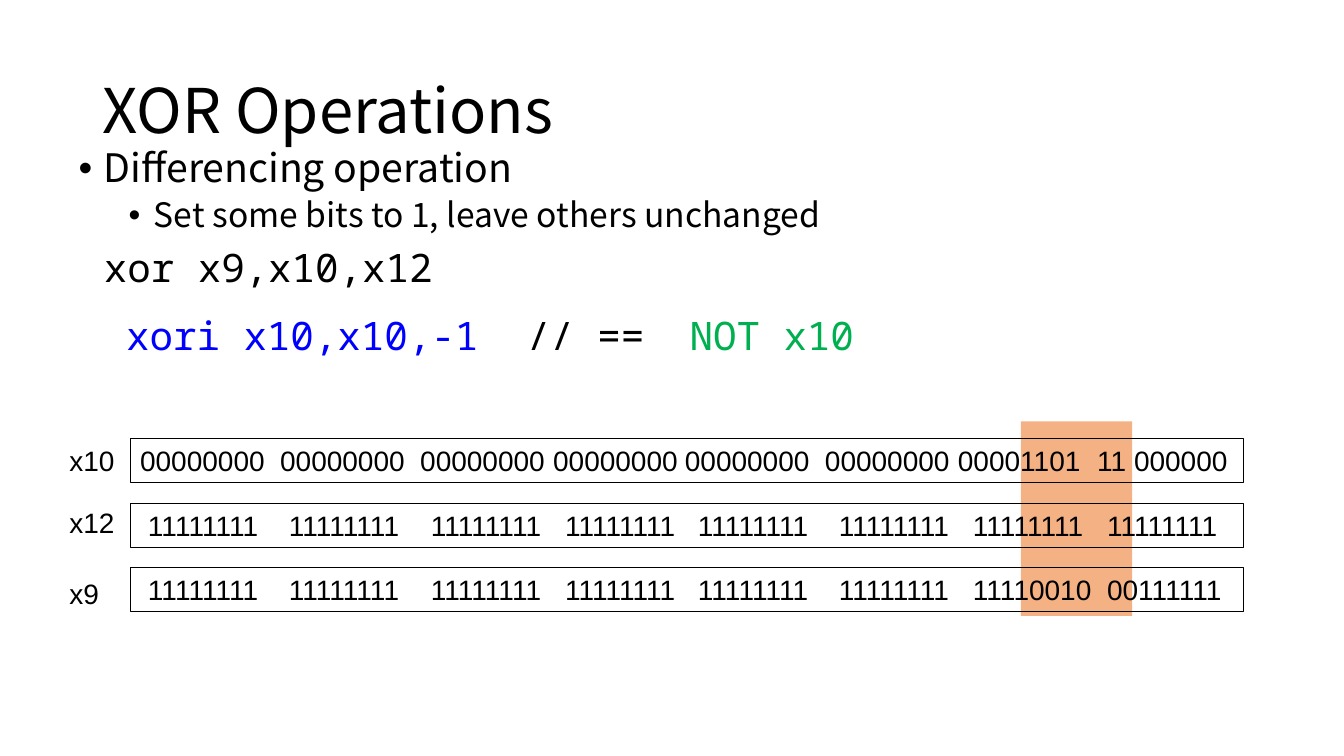
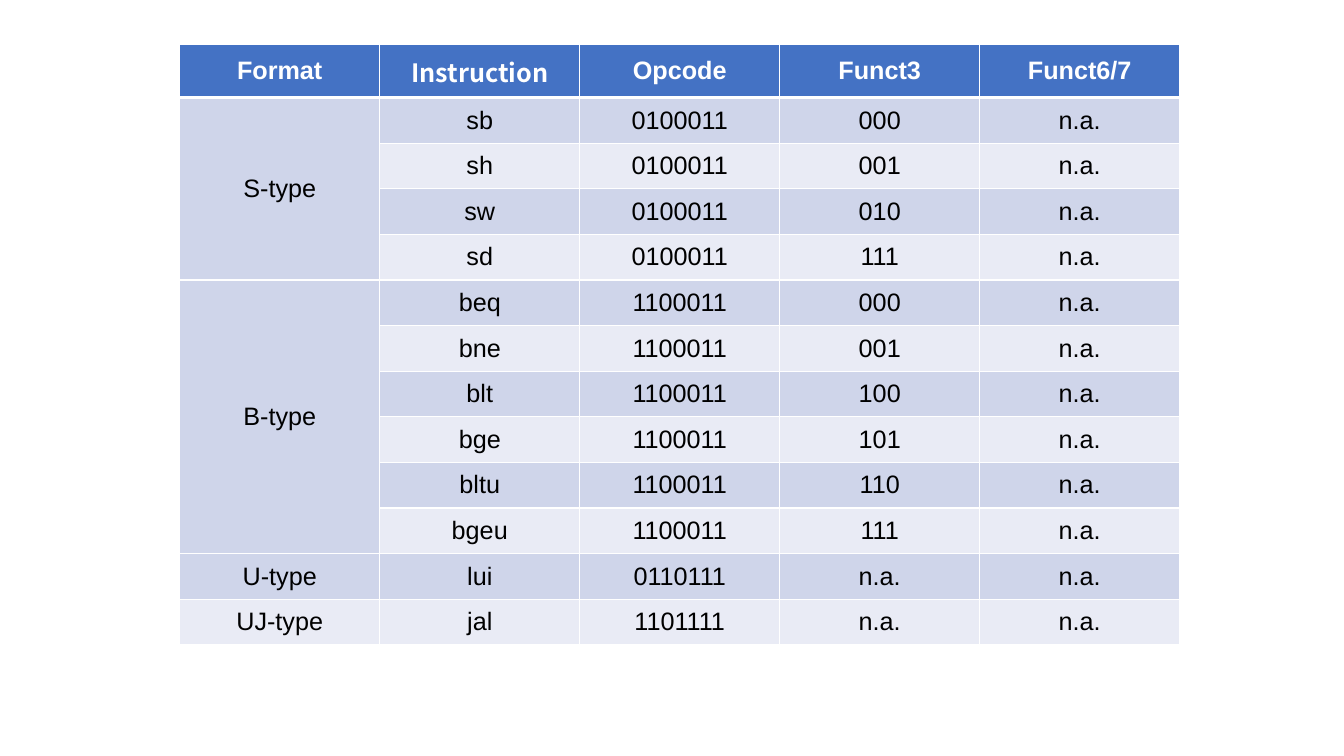
from lxml.etree import SubElement
from pptx import Presentation
from pptx.dml.color import RGBColor
from pptx.enum.shapes import MSO_SHAPE
from pptx.enum.text import MSO_ANCHOR, MSO_AUTO_SIZE, PP_ALIGN
from pptx.oxml.ns import qn
from pptx.util import Cm, Pt

BLACK = RGBColor(0x00, 0x00, 0x00)
WHITE = RGBColor(0xFF, 0xFF, 0xFF)
BLUE = RGBColor(0x00, 0x00, 0xFF)
GREEN = RGBColor(0x00, 0xB0, 0x50)
ORANGE = RGBColor(0xF4, 0xB1, 0x83)
HEADER = RGBColor(0x44, 0x72, 0xC4)
BANDS = [RGBColor(0xCF, 0xD5, 0xEA), RGBColor(0xE9, 0xEB, 0xF5)]
SANS = "Noto Sans CJK SC"
MONO = "Noto Sans Mono"
ARIAL = "Arial"


def add_run(p, text, size, font, color=BLACK, bold=False):
    r = p.add_run()
    r.text = text
    r.font.size = Pt(size)
    r.font.name = font
    r.font.color.rgb = color
    r.font.bold = bold


def set_tabs(p, stops):
    tab_list = SubElement(p._p.get_or_add_pPr(), qn("a:tabLst"))
    for stop in stops:
        SubElement(tab_list, qn("a:tab"), pos=str(Cm(stop)), algn="l")


prs = Presentation()
prs.slide_width, prs.slide_height = Cm(33.87), Cm(19.05)

s = prs.slides.add_slide(prs.slide_layouts[5])
title = s.shapes.title
title.left, title.top, title.width, title.height = Cm(2.33), Cm(1.01), Cm(29.21), Cm(3.68)
tf = title.text_frame
tf.auto_size = MSO_AUTO_SIZE.NONE
tf.vertical_anchor = MSO_ANCHOR.MIDDLE
p = tf.paragraphs[0]
p.alignment = PP_ALIGN.LEFT
p.line_spacing = 0.9
add_run(p, "XOR Operations", 44, SANS)

tf = s.shapes.add_textbox(Cm(1.73), Cm(3.63), Cm(30.48), Cm(6.3)).text_frame
tf.word_wrap = True
bullets = [("Differencing operation", 28, 0.64, 0),
           ("Set some bits to 1, leave others unchanged", 24, 1.9, 5)]
for i, (text, size, indent, before) in enumerate(bullets):
    p = tf.add_paragraph() if i else tf.paragraphs[0]
    pPr = p._p.get_or_add_pPr()
    pPr.set("marL", str(Cm(indent)))
    pPr.set("indent", str(Cm(-0.64)))
    p.line_spacing = 0.9
    if before:
        p.space_before = Pt(before)
    SubElement(pPr, qn("a:buFont"), typeface=ARIAL)
    SubElement(pPr, qn("a:buChar"), char="•")
    add_run(p, text, size, SANS)

code_lines = [([0.64], [("\txor x9,x10,x12", BLACK)]),
              ([1.2, 11.3, 15.4], [("\txori x10,x10,-1", BLUE), ("\t// ==", BLACK),
                                   ("\tNOT x10", GREEN)])]
for stops, runs in code_lines:
    p = tf.add_paragraph()
    p.line_spacing = 0.9
    p.space_before, p.space_after = Pt(10), Pt(8.5)
    set_tabs(p, stops)
    for text, color in runs:
        add_run(p, text, 28, MONO, color)

sp = s.shapes.add_shape(MSO_SHAPE.RECTANGLE, Cm(25.73), Cm(10.62), Cm(2.8), Cm(4.9))
sp.shadow.inherit = False
sp.fill.solid()
sp.fill.fore_color.rgb = ORANGE
sp.line.fill.background()

zeros, ones = "00000000", "11111111"
zero_stops = [3.53, 7.06, 10.41, 13.73, 17.26, 20.61, 24.12]
one_stops = [0.2, 3.75, 7.33, 10.71, 14.06, 17.61, 20.99, 24.37]
registers = [
    ("x10", 11.05, zero_stops, [zeros] * 6 + ["00001101", "11 000000"]),
    ("x12", 12.62, one_stops, [""] + [ones] * 8),
    ("x9", 14.4, one_stops, [""] + [ones] * 6 + ["11110010", "00111111"]),
]
for i, (name, label_top, stops, octets) in enumerate(registers):
    tf = s.shapes.add_textbox(Cm(1.5), Cm(label_top), Cm(2.13), Cm(1.11)).text_frame
    tf.word_wrap = True
    add_run(tf.paragraphs[0], name, 20, ARIAL)

    sp = s.shapes.add_shape(MSO_SHAPE.RECTANGLE, Cm(3.28), Cm(11.05 + 1.63 * i),
                            Cm(28.07), Cm(1.11))
    sp.shadow.inherit = False
    sp.fill.background()
    sp.line.color.rgb = BLACK
    sp.line.width = Pt(0.75)
    tf = sp.text_frame
    tf.word_wrap = True
    tf.vertical_anchor = MSO_ANCHOR.TOP
    p = tf.paragraphs[0]
    p.alignment = PP_ALIGN.LEFT
    set_tabs(p, stops)
    add_run(p, "\t".join(octets), 20, ARIAL)

s = prs.slides.add_slide(prs.slide_layouts[6])
formats = [
    ("S-type", "0100011", [("sb", "000"), ("sh", "001"), ("sw", "010"), ("sd", "111")]),
    ("B-type", "1100011", [("beq", "000"), ("bne", "001"), ("blt", "100"),
                           ("bge", "101"), ("bltu", "110"), ("bgeu", "111")]),
    ("U-type", "0110111", [("lui", "n.a.")]),
    ("UJ-type", "1101111", [("jal", "n.a.")]),
]
rows = [["Format", "Instruction", "Opcode", "Funct3", "Funct6/7"]]
spans = []
for name, opcode, instructions in formats:
    spans.append((len(rows), len(instructions)))
    for i, (instruction, funct3) in enumerate(instructions):
        rows.append(["" if i else name, instruction, opcode, funct3, "n.a."])

table = s.shapes.add_table(len(rows), 5, Cm(4.53), Cm(1.12), Cm(25.2), Cm(15.08)).table
for column in table.columns:
    column.width = Cm(5.04)
for i, row in enumerate(rows):
    table.rows[i].height = Cm(1.15 if i else 1.34)
    for j, text in enumerate(row):
        cell = table.cell(i, j)
        cell.vertical_anchor = MSO_ANCHOR.MIDDLE
        for side in ("L", "R", "T", "B"):
            thick = (i, side) in ((0, "B"), (1, "T"))
            ln = SubElement(cell._tc.get_or_add_tcPr(), qn("a:ln" + side),
                            w=str(Pt(3 if thick else 1)))
            fill = SubElement(ln, qn("a:solidFill"))
            SubElement(fill, qn("a:srgbClr"), val=str(WHITE))
        cell.fill.solid()
        cell.fill.fore_color.rgb = BANDS[(i - 1) % 2] if i else HEADER
        p = cell.text_frame.paragraphs[0]
        p.alignment = PP_ALIGN.CENTER
        if text:
            add_run(p, text, 18, SANS if text == "Instruction" else ARIAL,
                    BLACK if i else WHITE, i == 0)
for first, count in spans:
    if count > 1:
        table.cell(first, 0).merge(table.cell(first + count - 1, 0))

prs.save("out.pptx")
